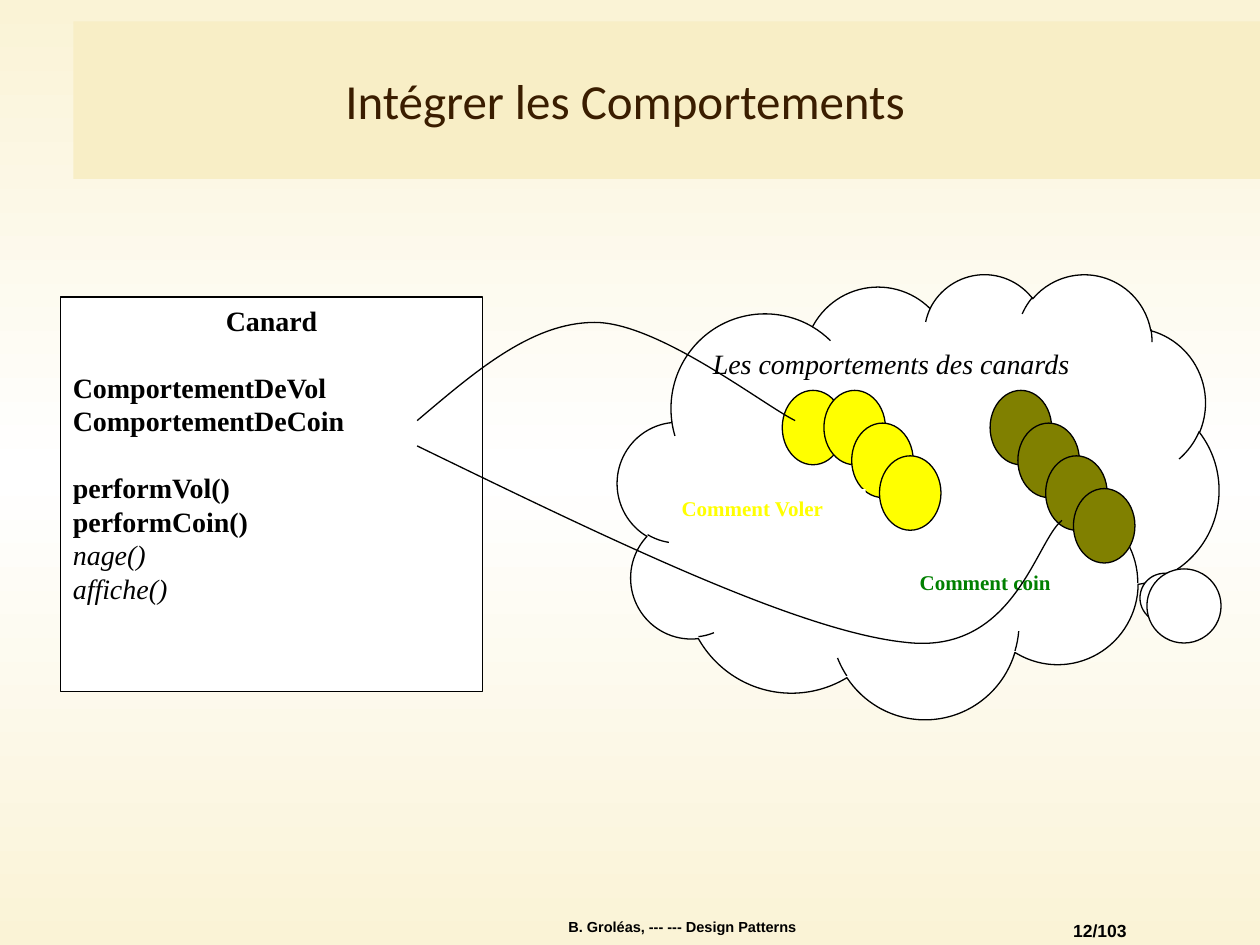
from copy import deepcopy

from lxml import etree
from pptx import Presentation
from pptx.dml.color import RGBColor
from pptx.enum.shapes import MSO_SHAPE
from pptx.enum.text import MSO_ANCHOR, PP_ALIGN
from pptx.oxml.ns import qn
from pptx.util import Cm, Pt

RECT, OVAL, CLOUD = MSO_SHAPE.RECTANGLE, MSO_SHAPE.OVAL, MSO_SHAPE.CLOUD_CALLOUT
TOP, MIDDLE = MSO_ANCHOR.TOP, MSO_ANCHOR.MIDDLE
LEFT, MID, RIGHT = PP_ALIGN.LEFT, PP_ALIGN.CENTER, PP_ALIGN.RIGHT

BLACK = RGBColor(0, 0, 0)
WHITE = RGBColor(0xFF, 0xFF, 0xFF)
CREAM = RGBColor(0xFA, 0xF3, 0xD6)
SAND = RGBColor(0xF8, 0xEE, 0xC6)
BROWN = RGBColor(0x3A, 0x1D, 0x00)
YELLOW = RGBColor(0xFF, 0xFF, 0x00)
OLIVE = RGBColor(0x80, 0x80, 0x00)
GREEN = RGBColor(0x00, 0x80, 0x00)

SERIF, SANS, TITLE = "Times New Roman", "Arial", "Calibri"


def place(shape, left, top, width, height):
    shape.left, shape.top = Cm(left), Cm(top)
    shape.width, shape.height = Cm(width), Cm(height)


def style(para, size, color=BLACK, font=SERIF, bold=False, italic=False, align=LEFT):
    para.alignment = align
    for run in para.runs:
        run.font.name = font
        run.font.size = Pt(size)
        run.font.bold = bold
        run.font.italic = italic
        run.font.color.rgb = color


def add_shape(slide, kind, box, fill, line=True):
    shape = slide.shapes.add_shape(kind, *map(Cm, box))
    shape.shadow.inherit = False
    shape.fill.solid()
    shape.fill.fore_color.rgb = fill
    if line:
        shape.line.color.rgb = BLACK
        shape.line.width = Pt(0.75)
    else:
        shape.line.fill.background()
    shape.text_frame.vertical_anchor = TOP
    return shape


def add_label(slide, box, text, color):
    shape = add_shape(slide, RECT, box, WHITE, line=False)
    shape.text_frame.text = text
    style(shape.text_frame.paragraphs[0], 12, color, bold=True)


def add_note(slide, box, text, size, align):
    frame = slide.shapes.add_textbox(*map(Cm, box)).text_frame
    frame.word_wrap = True
    frame.text = text
    style(frame.paragraphs[0], size, font=SANS, bold=True, align=align)
    return frame.paragraphs[0]


def add_chain(slide, left, top, count, fill):
    for i in range(count):
        add_shape(slide, OVAL, (left + 0.56 * i, top + 0.66 * i, 1.24, 1.5), fill)


def add_curve(slide, points):
    start, *rest = [(Cm(x), Cm(y)) for x, y in points]
    form = slide.shapes.build_freeform(*start)
    form.add_line_segments(rest, close=False)
    shape = form.convert_to_shape()
    shape.shadow.inherit = False
    shape.fill.background()
    shape.line.color.rgb = BLACK
    shape.line.width = Pt(0.75)
    route = next(shape.element.iter(qn("a:path")))
    steps = route.findall(qn("a:lnTo"))
    for i in range(0, len(steps), 3):
        bend = etree.SubElement(route, qn("a:cubicBezTo"))
        for step in steps[i:i + 3]:
            bend.append(step[0])
            route.remove(step)


def add_class(slide):
    frame = add_shape(slide, RECT, (1.22, 5.99, 8.51, 7.95), WHITE).text_frame
    frame.word_wrap = True
    frame.text = "\n".join((
        "Canard", "ComportementDeVol", "ComportementDeCoin",
        "performVol()", "performCoin()", "nage()", "affiche()",
    ))
    for i, para in enumerate(frame.paragraphs):
        style(para, 16, bold=i < 5, italic=i >= 5, align=LEFT if i else MID)
        if i in (1, 3):
            para.space_before = Pt(19)


def add_cloud(slide):
    cloud = add_shape(slide, CLOUD, (12.45, 5.51, 12.12, 8.97), WHITE)
    cloud.adjustments[0], cloud.adjustments[1] = 0.416, 0.233
    cloud.text_frame.text = "Les comportements des canards"
    style(cloud.text_frame.paragraphs[0], 16, italic=True)


def set_back(slide):
    fill = slide.background.fill
    fill.gradient()
    fill.gradient_angle = 270
    stops = next(slide.element.iter(qn("a:gsLst")))
    stops.insert(1, deepcopy(stops[0]))
    tones = ((0, CREAM), (0.5, WHITE), (1, CREAM))
    for stop, (spot, tone) in zip(fill.gradient_stops, tones):
        stop.position = spot
        stop.color.rgb = tone


def add_title(slide, text):
    add_shape(slide, RECT, (1.48, 0.43, 23.92, 3.18), SAND, line=False)
    title = slide.shapes.title
    title.element.getparent().append(title.element)
    place(title, 1.07, 0.84, 23.06, 2.33)
    title.text_frame.text = text
    title.text_frame.vertical_anchor = MIDDLE
    style(title.text_frame.paragraphs[0], 28, BROWN, TITLE, align=MID)


def main():
    deck = Presentation()
    deck.slide_width, deck.slide_height = Cm(25.4), Cm(19.05)
    slide = deck.slides.add_slide(deck.slide_layouts[5])
    set_back(slide)
    add_title(slide, "Intégrer les Comportements")
    add_note(slide, (21.06, 18.42, 1.9, 0.64), "12/103", 10, RIGHT)
    foot = add_note(slide, (5.29, 18.42, 16.93, 0.64),
                    "B. Groléas, --- --- Design Patterns", 8.3, MID)
    foot.line_spacing = 0.9

    add_cloud(slide)
    add_chain(slide, 15.77, 7.87, 1, YELLOW)
    add_chain(slide, 16.61, 7.87, 3, YELLOW)
    add_chain(slide, 19.96, 7.87, 4, OLIVE)
    add_label(slide, (13.49, 9.86, 3.96, 1.24), "Comment Voler", YELLOW)
    add_label(slide, (18.29, 11.35, 3.33, 0.99), "Comment coin", GREEN)
    add_class(slide)
    add_curve(slide, ((8.41, 8.48), (9.58, 7.49), (10.72, 6.5), (11.99, 6.5),
                      (13.26, 6.5), (15.37, 8.15), (16.03, 8.48)))
    add_curve(slide, ((8.41, 8.99), (12.24, 10.85), (16.1, 12.73), (18.26, 12.95),
                      (20.45, 13.21), (20.88, 10.9), (21.41, 10.49)))
    deck.save("out.pptx")


if __name__ == "__main__":
    main()
